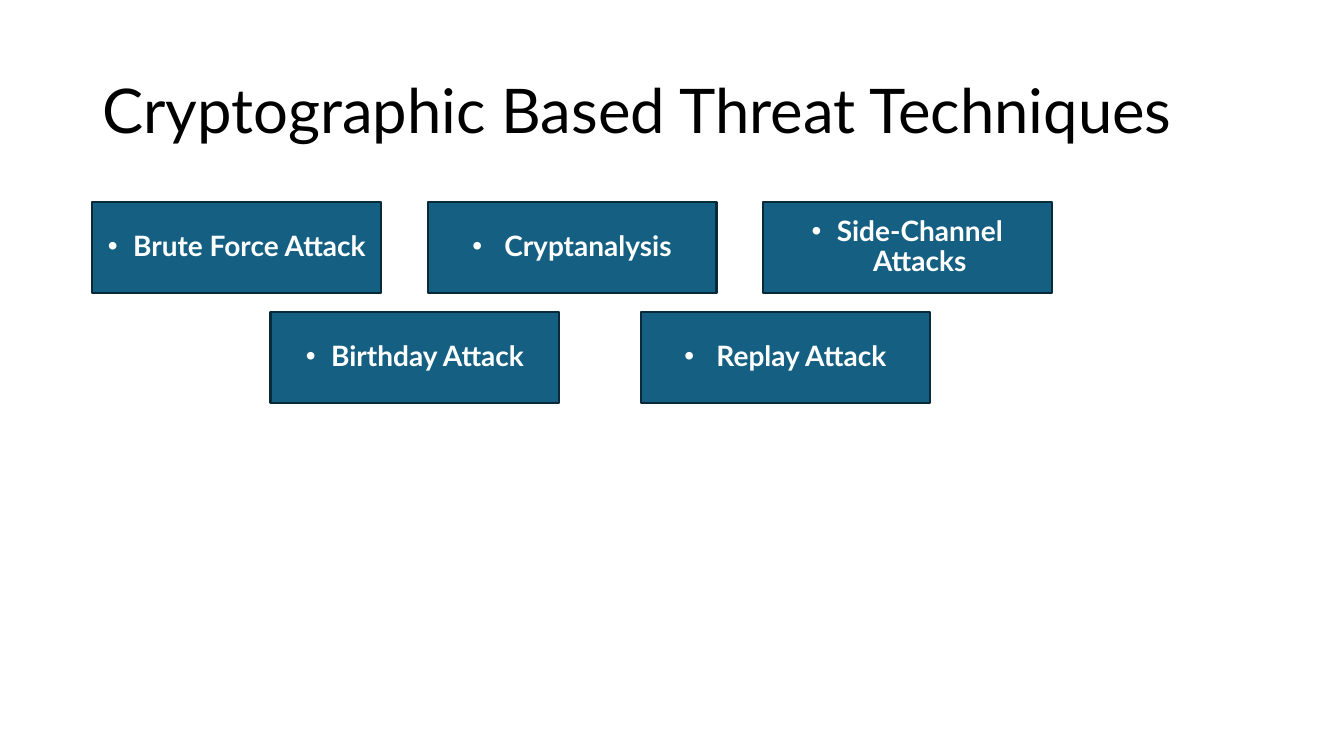
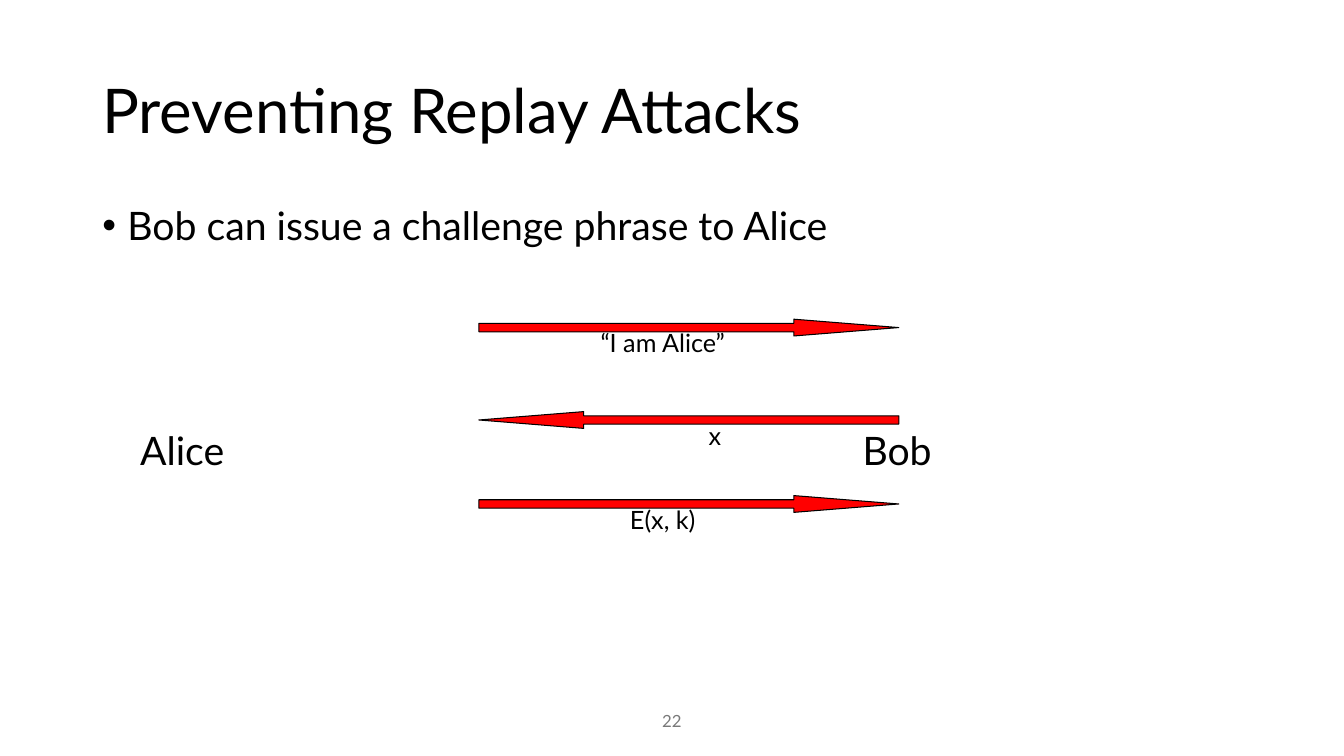
from dataclasses import dataclass

from lxml import etree
from pptx import Presentation
from pptx.dml.color import RGBColor
from pptx.enum.shapes import MSO_SHAPE
from pptx.enum.text import MSO_ANCHOR, PP_ALIGN
from pptx.oxml.ns import qn
from pptx.util import Inches, Pt

RECTANGLE = MSO_SHAPE.RECTANGLE
RIGHT_ARROW = MSO_SHAPE.RIGHT_ARROW
LEFT_ARROW = MSO_SHAPE.LEFT_ARROW
LEFT, CENTER = PP_ALIGN.LEFT, PP_ALIGN.CENTER
TOP, MIDDLE = MSO_ANCHOR.TOP, MSO_ANCHOR.MIDDLE

COLUMNS, ROWS = 160, 90
CELL = Inches(1 / 12)
MARGIN, CONTENT_WIDTH = 11, 138
BODY_TOP = 24


@dataclass(frozen=True)
class Theme:
    font: str = "Lato"
    text: RGBColor = RGBColor(0x00, 0x00, 0x00)
    muted: RGBColor = RGBColor(0x79, 0x79, 0x79)
    box_text: RGBColor = RGBColor(0xFF, 0xFF, 0xFF)
    box_fill: RGBColor = RGBColor(0x15, 0x60, 0x82)
    box_line: RGBColor = RGBColor(0x09, 0x2A, 0x39)
    arrow_fill: RGBColor = RGBColor(0xFF, 0x00, 0x00)
    arrow_line: RGBColor = RGBColor(0x00, 0x00, 0x00)
    title_size: int = 44
    body_size: int = 28
    box_size: int = 20
    label_size: int = 18
    footer_size: int = 12
    tight: float = 0.9


THEME = Theme()


def cells(*lengths):
    return [round(length * CELL) for length in lengths]


def add_bullet(paragraph):
    properties = paragraph._p.get_or_add_pPr()
    properties.set("marL", str(Inches(0.25)))
    properties.set("indent", str(-Inches(0.25)))
    etree.SubElement(properties, qn("a:buFont")).set("typeface", "Arial")
    etree.SubElement(properties, qn("a:buChar")).set("char", "•")


def write(frame, text, size, color=THEME.text, align=LEFT, anchor=TOP,
          bold=False, bullet=False, spacing=THEME.tight):
    frame.word_wrap = True
    frame.vertical_anchor = anchor
    paragraph = frame.paragraphs[0]
    if bullet:
        add_bullet(paragraph)
    paragraph.alignment = align
    paragraph.line_spacing = spacing
    run = paragraph.add_run()
    run.text = text
    run.font.name = THEME.font
    run.font.size = Pt(size)
    run.font.bold = bold
    run.font.color.rgb = color


def add_text(slide, area, text, size, **style):
    frame = slide.shapes.add_textbox(*cells(*area)).text_frame
    write(frame, text, size, **style)
    return frame


def add_figure(slide, kind, area, fill, line, line_width):
    shape = slide.shapes.add_shape(kind, *cells(*area))
    shape.shadow.inherit = False
    shape.fill.solid()
    shape.fill.fore_color.rgb = fill
    shape.line.color.rgb = line
    shape.line.width = Pt(line_width)
    return shape


def add_titled_slide(presentation, title):
    slide = presentation.slides.add_slide(presentation.slide_layouts[6])
    add_text(slide, (MARGIN, 4.8, CONTENT_WIDTH, 17.4), title,
             THEME.title_size, anchor=MIDDLE)
    return slide


def add_box_row(slide, left, top, step, names):
    for index, name in enumerate(names):
        area = (left + index * step, top, 34.4, 10.9)
        box = add_figure(slide, RECTANGLE, area, THEME.box_fill,
                         THEME.box_line, 1.5)
        write(box.text_frame, name, THEME.box_size, color=THEME.box_text,
              align=CENTER, anchor=MIDDLE, bold=True, bullet=True)


def add_message(slide, kind, top, text):
    left, width, height = 57, 50, 2
    arrow = add_figure(slide, kind, (left, top, width, height),
                       THEME.arrow_fill, THEME.arrow_line, 0.75)
    arrow.adjustments[0] = 0.5
    arrow.adjustments[1] = 6.25
    shift = 3.1 if kind == LEFT_ARROW else -3.1
    label = add_text(slide, (left + shift, top + height / 2, width, 3.6),
                     text, THEME.label_size, align=CENTER, spacing=1.0)
    label.margin_top = label.margin_bottom = 0


def add_page_number(slide, number):
    add_text(slide, (53, 83.4, 54, 4.8), number, THEME.footer_size,
             color=THEME.muted, align=CENTER, anchor=MIDDLE, spacing=1.0)


def build_techniques(presentation):
    slide = add_titled_slide(presentation,
                             "Cryptographic Based Threat Techniques")
    add_box_row(slide, MARGIN, BODY_TOP, 39.9,
                ["Brute Force Attack", " Cryptanalysis",
                 "Side-Channel Attacks"])
    add_box_row(slide, 32.2, 37.1, 44.1,
                ["Birthday Attack", " Replay Attack"])


def build_prevention(presentation):
    slide = add_titled_slide(presentation, "Preventing Replay Attacks")
    add_text(slide, (MARGIN, BODY_TOP, CONTENT_WIDTH, 6.5),
             "Bob can issue a challenge phrase to Alice",
             THEME.body_size, bullet=True)
    for left, name in ((15.5, "Alice"), (101.5, "Bob")):
        add_text(slide, (left, 50.8, 20, 6.5), name, THEME.body_size)
    for kind, top, text in ((RIGHT_ARROW, 38, "“I am Alice”"),
                            (LEFT_ARROW, 49, "x"),
                            (RIGHT_ARROW, 59, "E(x, k)")):
        add_message(slide, kind, top, text)
    add_page_number(slide, "22")


def main():
    presentation = Presentation()
    presentation.slide_width, presentation.slide_height = cells(COLUMNS, ROWS)
    build_techniques(presentation)
    build_prevention(presentation)
    presentation.save("out.pptx")


if __name__ == "__main__":
    main()
